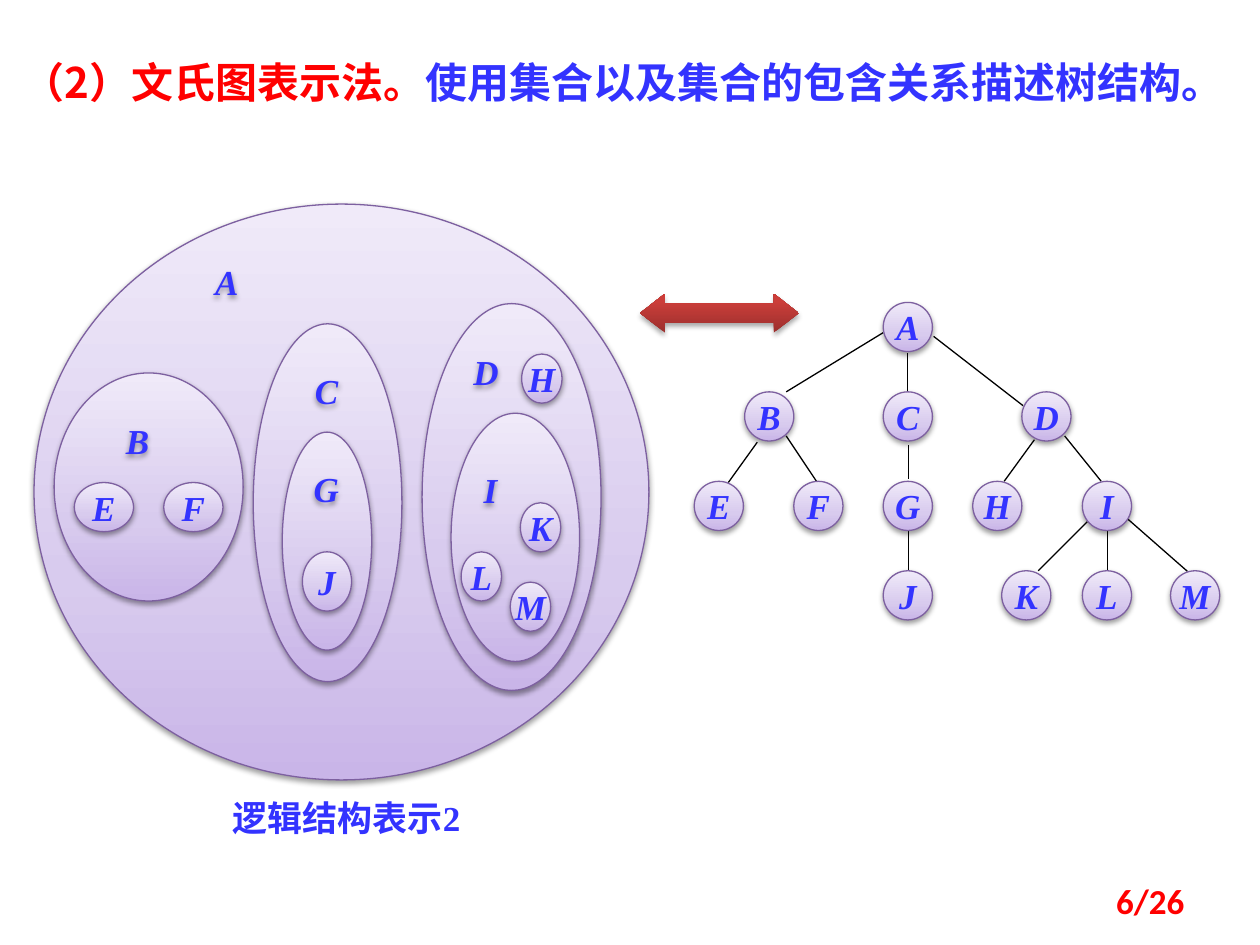
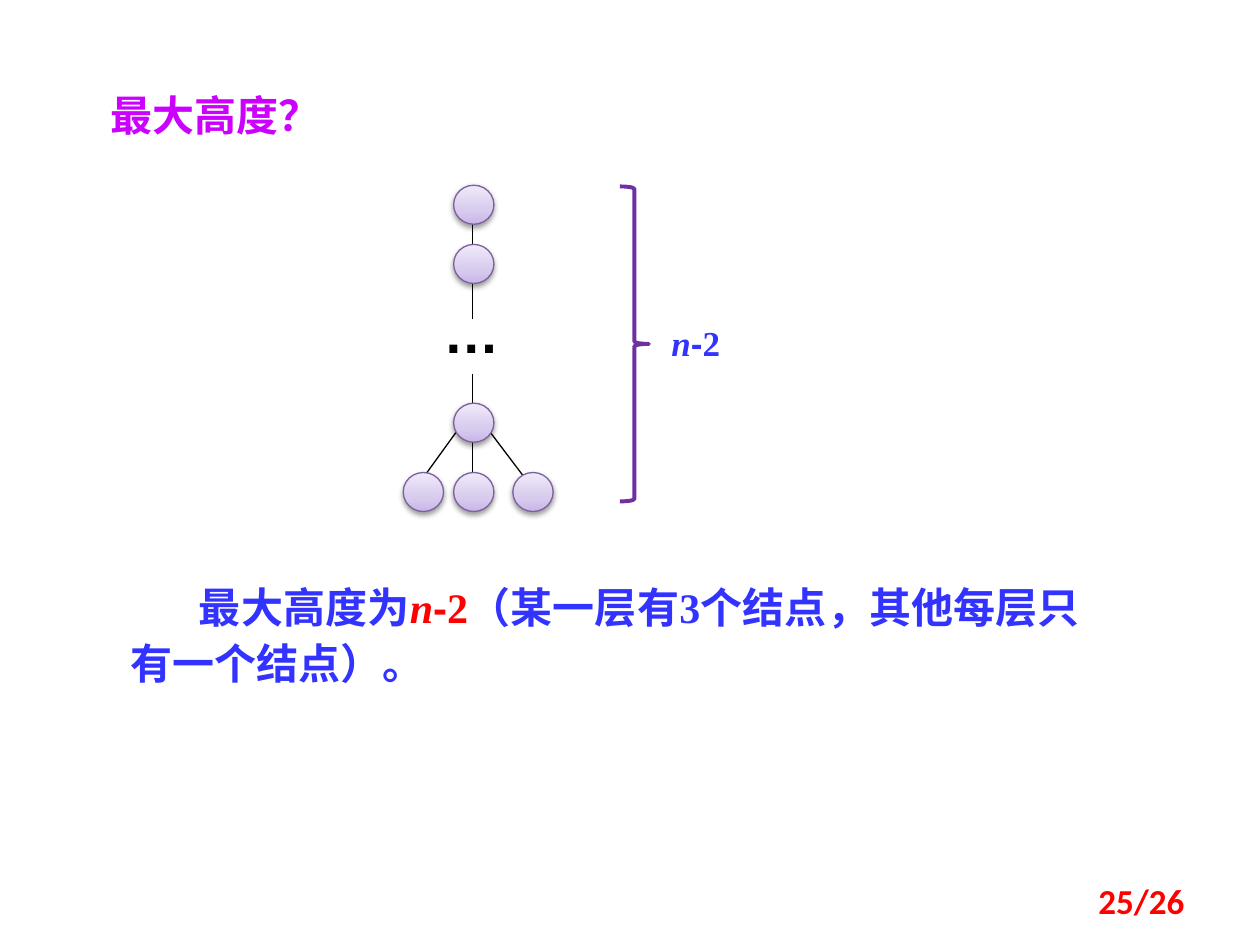
import pptx
import pptx.util
import pptx.dml.color
import pptx.enum.shapes
import pptx.enum.text
import pptx.oxml.ns
import lxml.etree

Inches, Pt, qn = pptx.util.Inches, pptx.util.Pt, pptx.oxml.ns.qn
MSO = pptx.enum.shapes.MSO_SHAPE
ALIGN = pptx.enum.text.PP_ALIGN
ANCHOR = pptx.enum.text.MSO_ANCHOR

# ---- Shared look ----
COLORS = {"text": "3333FF", "red": "FF0000", "magenta": "CC00FF", "black": "000000",
          "outline": "7D60A0", "brace": "7030A0"}
LILAC = [(0, "C9B5E8"), (35, "D8CBEE"), (100, "F0EAF9")]
BRICK = [(0, "9C2F2D"), (80, "CB3E3A"), (100, "CE3B37")]
LILAC_SHADOW = (38, 1.6)   # opacity %, distance pt
BRICK_SHADOW = (35, 1.8)
SERIF, SANS, CJK = "Times New Roman", "Arial", "Noto Sans CJK SC"
BODY = {"size": 24, "name": SERIF, "color": "text", "bold": True}
LABEL = {**BODY, "size": 20}
NODE = {**LABEL, "italic": True}
PAGE = {"size": 20, "name": "Calibri", "color": "red", "bold": True}
HEADING = {"align": ALIGN.JUSTIFY, "line": 1.1, "before": 50}
PAGES = 26

# ---- Slide 1: Venn diagram and tree ----
VENN_TITLE = [("（2）文氏图表示法。", {**BODY, "name": CJK, "color": "red"}),
              ("使用集合以及集合的包含关系描述树结构。", BODY)]
# Sets from outside in: (ellipse box, label, label box or None when centred)
SETS = [
    ((0.27, 1.62, 4.88, 4.57), "A", (1.61, 2.02, 0.39, 0.43)),
    ((0.43, 2.96, 1.5, 1.81), "B", (0.9, 3.28, 0.39, 0.43)),
    ((0.59, 3.83, 0.47, 0.39), "E", None),
    ((1.3, 3.83, 0.47, 0.39), "F", None),
    ((2.01, 2.57, 1.18, 2.84), "C", (2.4, 2.88, 0.32, 0.43)),
    ((2.24, 3.43, 0.71, 1.73), "G", (2.39, 3.66, 0.31, 0.43)),
    ((2.4, 4.38, 0.39, 0.47), "J", None),
    ((3.35, 2.41, 1.42, 3.07), "D", (3.66, 2.73, 0.4, 0.43)),
    ((3.58, 3.28, 1.02, 1.97), "I", (3.74, 3.67, 0.39, 0.43)),
    ((4.14, 2.81, 0.32, 0.39), "H", None),
    ((4.13, 3.99, 0.32, 0.39), "K", None),
    ((3.66, 4.38, 0.32, 0.39), "L", None),
    ((4.05, 4.62, 0.32, 0.39), "M", None),
]
# Tree levels: node name -> left edge
LEVELS = [{"A": 7.01},
          {"B": 5.91, "C": 7.01, "D": 8.11},
          {"E": 5.51, "F": 6.3, "G": 7.01, "H": 7.72, "I": 8.59},
          {"J": 7.01, "K": 7.95, "L": 8.59, "M": 9.29}]
TREE_TOP, LEVEL_STEP, NODE_SIZE = 2.4, 0.71, 0.39
TREE_EDGES = [
    (7.01, 2.64, 6.24, 3.11), (7.2, 2.8, 7.2, 3.11), (7.41, 2.67, 8.12, 3.22),
    (6.01, 3.51, 5.78, 3.83), (6.24, 3.46, 6.48, 3.82), (7.21, 3.53, 7.21, 3.8),
    (8.21, 3.49, 7.97, 3.82), (8.45, 3.46, 8.74, 3.82), (7.21, 4.21, 7.21, 4.53),
    (8.63, 4.14, 8.24, 4.53), (8.79, 4.21, 8.79, 4.53), (8.94, 4.11, 9.43, 4.54),
]

# ---- Slide 2: tallest tree ----
HEIGHT_TITLE = [("最大高度？", {**BODY, "color": "magenta"})]


def height(style):
    """Runs of the expression n-2 in the given style."""
    return [("n", {**style, "italic": True}), ("-", {**style, "name": SANS}), ("2", style)]


ANSWER = [("最大高度为", BODY), *height({**BODY, "color": "red"}),
          ("（某一层有3个结点，其他每层只有一个结点）。", BODY)]
CHAIN = [(3.6, 1.47), (3.6, 1.94), (3.6, 3.2), (3.2, 3.75), (3.6, 3.75), (4.07, 3.75)]
CHAIN_EDGES = [
    (3.75, 1.7, 3.75, 2.02), (3.75, 2.21, 3.75, 2.53), (3.75, 2.97, 3.75, 3.28),
    (3.7, 3.32, 3.36, 3.79), (3.75, 3.43, 3.75, 3.83), (3.83, 3.35, 4.2, 3.84),
]


# ---- Helpers ----
def rgb(name):
    return pptx.dml.color.RGBColor.from_string(COLORS[name])


def sub(parent, tag, **attrs):
    el = lxml.etree.SubElement(parent, qn(tag))
    for key, value in attrs.items():
        el.set(key, str(value))
    return el


def write(sp, runs, align=ALIGN.LEFT, line=None, before=0, indent=0,
          anchor=ANCHOR.TOP, wrap=True):
    tf = sp.text_frame
    tf.word_wrap = wrap
    tf.auto_size = pptx.enum.text.MSO_AUTO_SIZE.NONE
    tf.vertical_anchor = anchor
    p = tf.paragraphs[0]
    p.alignment = align
    if line:
        p.line_spacing = line
    pPr = p._p.get_or_add_pPr()
    if before:
        sub(pPr.get_or_add_spcBef(), "a:spcPct", val=before * 1000)
    if indent:
        pPr.set("indent", str(Inches(indent)))
    for text, style in runs:
        r = p.add_run()
        r.text = text
        for key, value in style.items():
            if key == "color":
                r.font.color.rgb = rgb(value)
            else:
                setattr(r.font, key, Pt(value) if key == "size" else value)
        sub(r._r.get_or_add_rPr(), "a:ea", typeface=CJK)


def add_text(s, box, runs, **layout):
    sp = s.shapes.add_textbox(*map(Inches, box))
    write(sp, runs, **layout)
    return sp


def add_shadow(sp, opacity, distance):
    sp.shadow.inherit = False
    shadow = sub(sp._element.spPr.find(qn("a:effectLst")), "a:outerShdw", blurRad=Pt(3.1),
                 dist=Pt(distance), dir=5400000, rotWithShape=0)
    sub(sub(shadow, "a:srgbClr", val="000000"), "a:alpha", val=opacity * 1000)


def add_glossy(s, kind, box, stops, shadow):
    """Shape with an upward gradient and a soft shadow."""
    sp = s.shapes.add_shape(kind, *map(Inches, box))
    sp.fill.gradient()
    grad = sp._element.spPr.find(qn("a:gradFill"))
    for child in list(grad):
        grad.remove(child)
    stop_list = sub(grad, "a:gsLst")
    for pos, color in stops:
        sub(sub(stop_list, "a:gs", pos=pos * 1000), "a:srgbClr", val=color)
    sub(grad, "a:lin", ang=16200000, scaled=0)
    add_shadow(sp, *shadow)
    return sp


def add_ellipse(s, box, label=None):
    sp = add_glossy(s, MSO.OVAL, box, LILAC, LILAC_SHADOW)
    sp.line.color.rgb = rgb("outline")
    sp.line.width = Pt(0.75)
    if label:
        write(sp, [(label, NODE)], align=ALIGN.CENTER, anchor=ANCHOR.MIDDLE, wrap=False)


def add_edges(s, edges):
    for ends in edges:
        c = s.shapes.add_connector(pptx.enum.shapes.MSO_CONNECTOR.STRAIGHT, *map(Inches, ends))
        c.line.color.rgb = rgb("black")
        c.line.width = Pt(0.75)
        sub(c._element.spPr, "a:effectLst")


def new_slide(title, box, page):
    s = prs.slides.add_slide(prs.slide_layouts[5])
    sp = s.shapes.title
    sp.left, sp.top, sp.width, sp.height = map(Inches, box)
    write(sp, title, **HEADING)
    add_text(s, (7.17, 6.95, 2.33, 0.4), [(f"{page}/{PAGES}", PAGE)],
             align=ALIGN.RIGHT, anchor=ANCHOR.MIDDLE)
    return s


prs = pptx.Presentation()
prs.slide_width, prs.slide_height = Inches(10), Inches(7.5)

# ---- Build slide 1 ----
s = new_slide(VENN_TITLE, (0.08, 0.36, 9.96, 0.55), 6)
add_text(s, (0.98, 6.27, 3.54, 0.44), [("逻辑结构表示2", LABEL)], align=ALIGN.CENTER)
for box, name, label_box in SETS:
    add_ellipse(s, box, None if label_box else name)
    if label_box:
        add_shadow(add_text(s, label_box, [(name, NODE)], before=50), *LILAC_SHADOW)

arrow = add_glossy(s, MSO.LEFT_RIGHT_ARROW, (5.08, 2.33, 1.26, 0.31), BRICK, BRICK_SHADOW)
arrow.line.fill.background()
arrow.adjustments[0], arrow.adjustments[1] = 0.5, 0.64

add_edges(s, TREE_EDGES)
for depth, nodes in enumerate(LEVELS):
    for name, left in nodes.items():
        add_ellipse(s, (left, TREE_TOP + depth * LEVEL_STEP, NODE_SIZE, NODE_SIZE), name)

# ---- Build slide 2 ----
s = new_slide(HEIGHT_TITLE, (0.78, 0.62, 2.69, 0.51), 25)
add_edges(s, CHAIN_EDGES)
dots = add_text(s, (3.52, 2.36, 0.63, 0.53),
                [("…", {"size": 32, "name": SANS, "color": "black", "bold": True})], before=50)
for side in ("left", "top", "right", "bottom"):
    setattr(dots.text_frame, f"margin_{side}", 0)
for left, top in CHAIN:
    add_ellipse(s, (left, top, 0.32, 0.31))

add_text(s, (0.94, 4.53, 7.73, 0.99), ANSWER, indent=0.54, **HEADING)
brace = s.shapes.add_shape(MSO.RIGHT_BRACE, *map(Inches, (4.92, 1.48, 0.23, 2.5)))
brace.shadow.inherit = False
brace.fill.background()
brace.line.color.rgb = rgb("brace")
brace.line.width = Pt(2.25)
add_text(s, (5.23, 2.5, 0.78, 0.44), height(LABEL))

prs.save("out.pptx")
